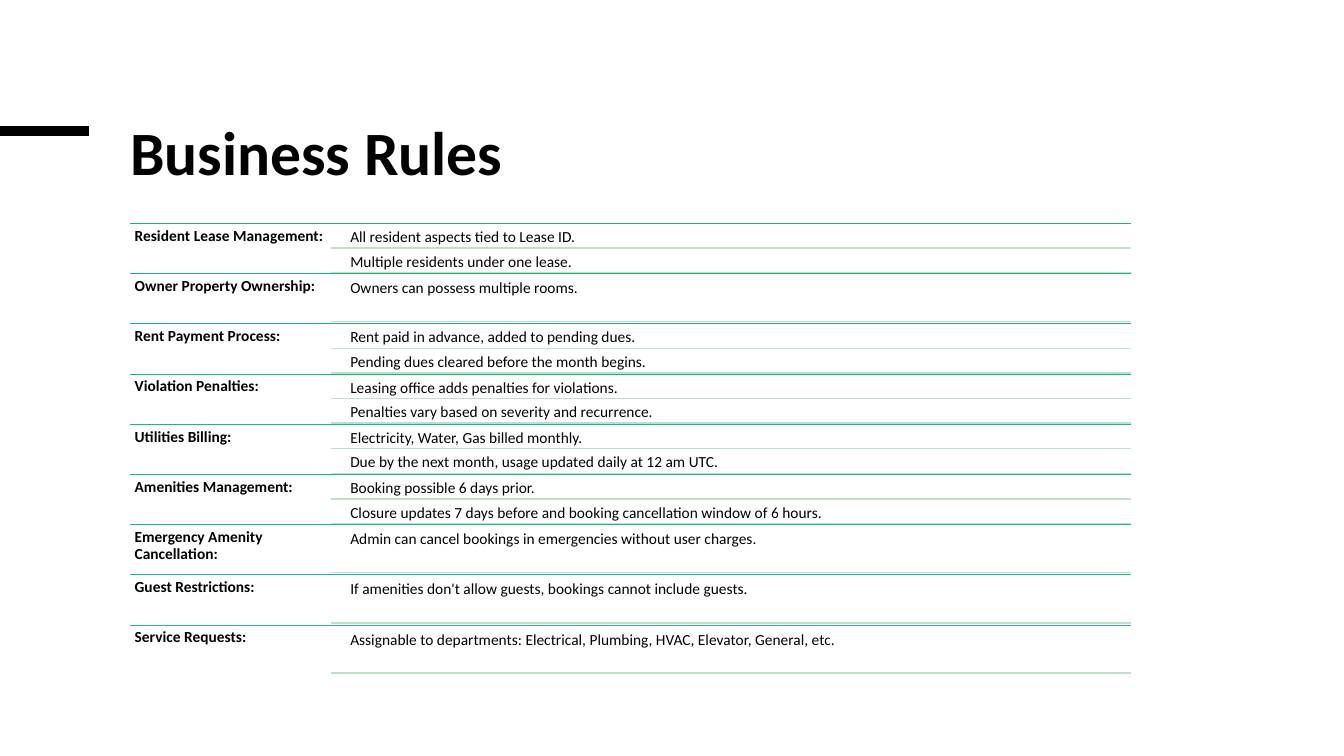
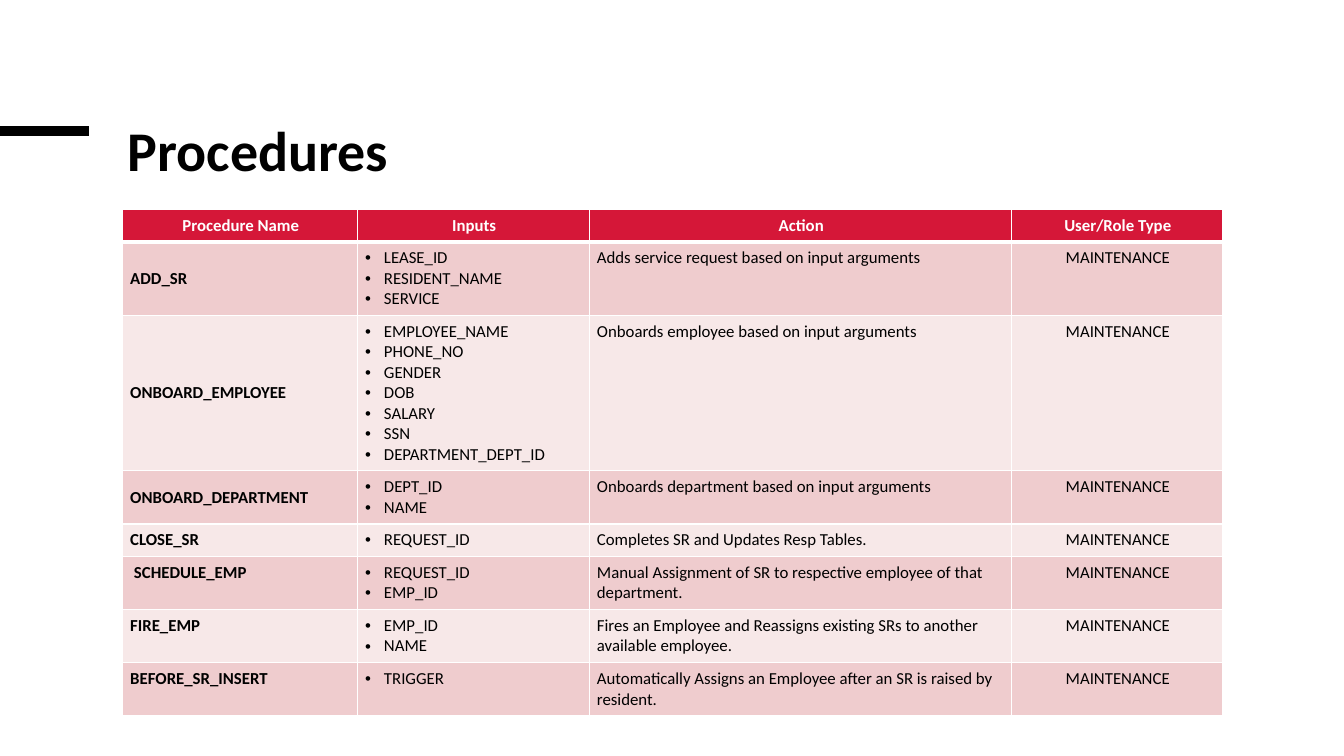
from lxml import etree
from pptx import Presentation
from pptx.dml.color import RGBColor
from pptx.enum import shapes, text
from pptx.oxml.ns import qn
from pptx.util import Pt

# Shared style
FONT = "Calibri"
BLACK, WHITE = "000000", "FFFFFF"
LEFT, CENTER = text.PP_ALIGN.LEFT, text.PP_ALIGN.CENTER
TOP, MIDDLE = text.MSO_ANCHOR.TOP, text.MSO_ANCHOR.MIDDLE

# Business rules: heading and its rules
RULE_FIRST, RULE_LAST = (0x14, 0xBA, 0x6A), (0x20, 0xB7, 0xAD)
ITEM_LINE = "BDE0C7"
RULES = [
    ("Resident Lease Management:",
     ["All resident aspects tied to Lease ID.",
      "Multiple residents under one lease."]),
    ("Owner Property Ownership:", ["Owners can possess multiple rooms."]),
    ("Rent Payment Process:",
     ["Rent paid in advance, added to pending dues.",
      "Pending dues cleared before the month begins."]),
    ("Violation Penalties:",
     ["Leasing office adds penalties for violations.",
      "Penalties vary based on severity and recurrence."]),
    ("Utilities Billing:",
     ["Electricity, Water, Gas billed monthly.",
      "Due by the next month, usage updated daily at 12 am UTC."]),
    ("Amenities Management:",
     ["Booking possible 6 days prior.",
      "Closure updates 7 days before and booking cancellation window of 6 hours."]),
    ("Emergency Amenity Cancellation:",
     ["Admin can cancel bookings in emergencies without user charges."]),
    ("Guest Restrictions:",
     ["If amenities don't allow guests, bookings cannot include guests."]),
    ("Service Requests:",
     ["Assignable to departments: Electrical, Plumbing, HVAC, Elevator, General, etc."]),
]

# Procedures: name, inputs, action, lines of text in the row, name anchor
HEADER_FILL, BAND_FILLS = "D51738", ("EFCCCE", "F7E8E8")
HEADERS = ["Procedure Name", "Inputs", "Action", "User/Role Type"]
COL_WIDTHS = [167.8, 165.6, 301.7, 150.5]
ROLE = "MAINTENANCE"
PROCEDURES = [
    ("ADD_SR", ["LEASE_ID", "RESIDENT_NAME", "SERVICE"],
     "Adds service request based on input arguments", 3, MIDDLE),
    ("ONBOARD_EMPLOYEE",
     ["EMPLOYEE_NAME", "PHONE_NO", "GENDER", "DOB", "SALARY", "SSN",
      "DEPARTMENT_DEPT_ID"],
     "Onboards employee based on input arguments", 7, MIDDLE),
    ("ONBOARD_DEPARTMENT", ["DEPT_ID", "NAME"],
     "Onboards department based on input arguments", 2, MIDDLE),
    ("CLOSE_SR", ["REQUEST_ID"],
     "Completes SR and Updates Resp Tables.", 1, MIDDLE),
    (" SCHEDULE_EMP", ["REQUEST_ID", "EMP_ID"],
     "Manual Assignment of SR to respective employee of that department.", 2, TOP),
    ("FIRE_EMP", ["EMP_ID", "NAME"],
     "Fires an Employee and Reassigns existing SRs to another available employee.",
     2, TOP),
    ("BEFORE_SR_INSERT", ["TRIGGER"],
     "Automatically Assigns an Employee after an SR is raised by resident.", 2, TOP),
]


def rgb(value):
    return RGBColor.from_string(value)


def put_text(tf, lines, size=12, color=BLACK, bold=False, align=LEFT,
             spacing=None, bullet=False):
    """Write one paragraph per line into a text frame."""
    for i, line in enumerate(lines):
        p = tf.paragraphs[0] if i == 0 else tf.add_paragraph()
        p.alignment = align
        if spacing:
            p.line_spacing = spacing
        if bullet:
            pPr = p._p.get_or_add_pPr()
            pPr.set("marL", str(Pt(13.5)))
            pPr.set("indent", str(-Pt(13.5)))
            etree.SubElement(pPr, qn("a:buFont")).set("typeface", "Arial")
            etree.SubElement(pPr, qn("a:buChar")).set("char", "•")
        r = p.add_run()
        r.text = line
        r.font.name, r.font.size, r.font.bold = FONT, Pt(size), bold
        r.font.color.rgb = rgb(color)


def add_line(parent, x1, x2, y, color, width):
    """Draw a horizontal line."""
    line = parent.shapes.add_connector(
        shapes.MSO_CONNECTOR.STRAIGHT, Pt(x1), Pt(y), Pt(x2), Pt(y))
    line.line.color.rgb = rgb(color)
    line.line.width = Pt(width)
    etree.SubElement(line._element.spPr, qn("a:effectLst"))


def add_label(parent, x, y, w, h, line, **fmt):
    tf = parent.shapes.add_textbox(Pt(x), Pt(y), Pt(w), Pt(h)).text_frame
    tf.word_wrap = True
    tf.margin_left = tf.margin_top = tf.margin_right = tf.margin_bottom = Pt(3.3)
    put_text(tf, [line], size=11, spacing=0.9, **fmt)


def add_titled_slide(prs, title, x, y, w, h, size):
    """Add a slide with the black side bar and a formatted title."""
    s = prs.slides.add_slide(prs.slide_layouts[5])
    add_line(s, 0, 63.4, 93.6, BLACK, 6.75)
    sp = s.shapes.title
    sp.left, sp.top, sp.width, sp.height = Pt(x), Pt(y), Pt(w), Pt(h)
    tf = sp.text_frame
    tf.auto_size = text.MSO_AUTO_SIZE.NONE
    tf.vertical_anchor = TOP
    put_text(tf, [title], size=size, bold=True, spacing=0.85)
    return s


def add_rule_list(s, left, top, width, pitch):
    """List headings on the left, with their rules on the right."""
    group = s.shapes.add_group_shape()
    right, item_left, head_width = left + width, left + 143.3, 143.3
    for i, (heading, items) in enumerate(RULES):
        y = top + i * pitch
        share = i / (len(RULES) - 1)
        color = "".join(f"{round(a + (b - a) * share):02X}"
                        for a, b in zip(RULE_FIRST, RULE_LAST))
        add_line(group, left, right, y, color, 0.5)
        add_label(group, left, y, head_width, pitch, heading, bold=True)
        # Item boxes, each preceded by a gap of a twentieth of its height
        height = 32.7 if len(items) == 1 else 16.7
        for item in items:
            y += height * 0.05
            add_label(group, item_left + 10.7, y, right - item_left - 10.7,
                      height, item)
            y += height
            add_line(group, item_left, right, y, ITEM_LINE, 1)


def set_borders(cell, top=1, bottom=1):
    tcPr = cell._tc.get_or_add_tcPr()
    widths = {"a:lnL": 1, "a:lnR": 1, "a:lnT": top, "a:lnB": bottom}
    for i, (tag, width) in enumerate(widths.items()):
        ln = etree.Element(qn(tag), w=str(Pt(width)))
        fill = etree.SubElement(ln, qn("a:solidFill"))
        etree.SubElement(fill, qn("a:srgbClr")).set("val", WHITE)
        tcPr.insert(i, ln)


def fill_cell(cell, lines, fill, anchor=TOP, top=1, bottom=1, **fmt):
    cell.fill.solid()
    cell.fill.fore_color.rgb = rgb(fill)
    cell.vertical_anchor = anchor
    cell.margin_left = Pt(5.5)
    cell.margin_top = cell.margin_right = cell.margin_bottom = Pt(4.3)
    set_borders(cell, top, bottom)
    put_text(cell.text_frame, lines, **fmt)


def add_procedure_table(s, left, top):
    # Row height follows the number of text lines
    heights = [n * 14.65 + 8.6 for n in [1] + [row[3] for row in PROCEDURES]]
    table = s.shapes.add_table(
        len(heights), len(HEADERS), Pt(left), Pt(top),
        Pt(sum(COL_WIDTHS)), Pt(sum(heights))).table
    for column, width in zip(table.columns, COL_WIDTHS):
        column.width = Pt(width)
    for row, height in zip(table.rows, heights):
        row.height = Pt(height)

    for c, header in enumerate(HEADERS):
        fill_cell(table.cell(0, c), [header], HEADER_FILL, MIDDLE, bottom=3,
                  color=WHITE, bold=True, align=CENTER)
    for r, (name, inputs, action, _, anchor) in enumerate(PROCEDURES, 1):
        fill = BAND_FILLS[(r - 1) % 2]
        edge = 3 if r == 1 else 1
        fill_cell(table.cell(r, 0), [name], fill, anchor, edge, bold=True)
        fill_cell(table.cell(r, 1), inputs, fill, top=edge, bullet=True)
        fill_cell(table.cell(r, 2), [action], fill, top=edge)
        fill_cell(table.cell(r, 3), [ROLE], fill, top=edge, align=CENTER)


def main():
    prs = Presentation()
    prs.slide_width, prs.slide_height = Pt(960), Pt(540)

    # Business rules
    s = add_titled_slide(prs, "Business Rules", 85.7, 85.7, 781.2, 102.2, 44)
    add_rule_list(s, 92.9, 159.6, 715, 35.85)

    # Procedures
    s = add_titled_slide(prs, "Procedures", 84.2, 86.4, 784.1, 53.3, 40)
    add_procedure_table(s, 87.5, 149.4)

    prs.save("out.pptx")


if __name__ == "__main__":
    main()
